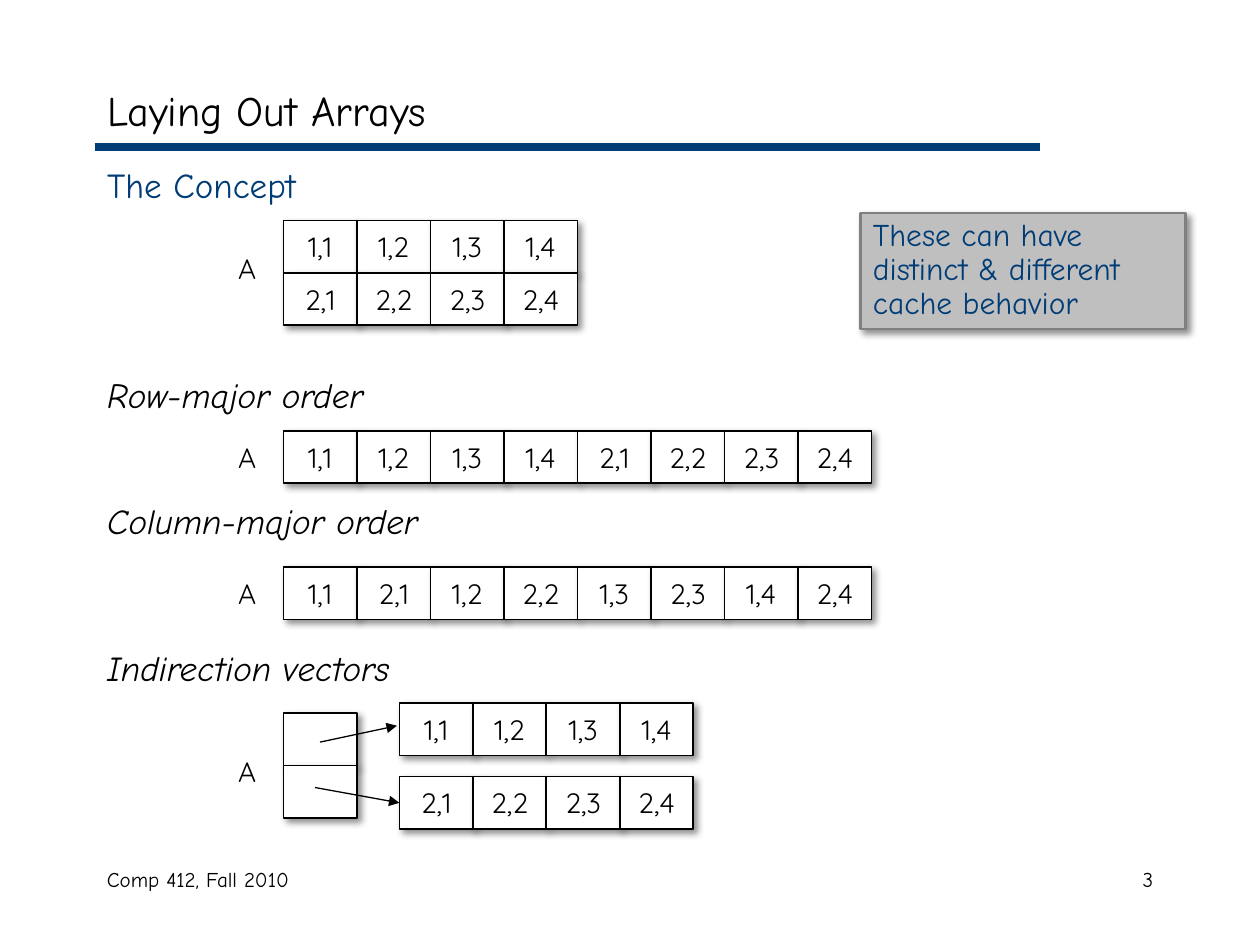
from lxml import etree
from pptx import Presentation
from pptx import util as u
from pptx.dml.color import RGBColor
from pptx.enum import shapes, text
from pptx.oxml import ns
from pptx.oxml import parse_xml

COLORS = {"ink": "000000", "navy": "003C75", "paper": "FFFFFF",
          "note": "BFBFBF", "note_edge": "808080"}
HAND, ROUND = "Comic Neue", "Quicksand"
CELL_W, CELL_H = u.Inches(7 / 12), u.Inches(5 / 12)
LABEL_X, ARRAY_X = u.Inches(1.67), u.Inches(2.25)
SHADOW = (
    '<a:effectLst %s><a:outerShdw blurRad="50800" dist="38100" dir="2700000" '
    'algn="tl" rotWithShape="0"><a:srgbClr val="%s"><a:alpha val="43000"/>'
    "</a:srgbClr></a:outerShdw></a:effectLst>" % (ns.nsdecls("a"), COLORS["ink"])
)
ROW_MAJOR = ["1,1", "1,2", "1,3", "1,4", "2,1", "2,2", "2,3", "2,4"]
COLUMN_MAJOR = ["1,1", "2,1", "1,2", "2,2", "1,3", "2,3", "1,4", "2,4"]
GRID = [ROW_MAJOR[:4], ROW_MAJOR[4:]]


def rgb(name):
    """Return the named palette colour."""
    return RGBColor.from_string(COLORS[name])


def apply(obj, **values):
    """Set every given attribute on an object."""
    for key, value in values.items():
        setattr(obj, key, value)


def write(p, words, color="ink", align=text.PP_ALIGN.LEFT, **font):
    """Write one formatted run into a paragraph."""
    p.alignment = align
    r = p.add_run()
    r.text = words
    apply(r.font, **font)
    r.font.color.rgb = rgb(color)


def center(sp, words):
    """Centre a cell label in a shape."""
    tf = sp.text_frame
    apply(tf, word_wrap=False, vertical_anchor=text.MSO_ANCHOR.MIDDLE)
    write(tf.paragraphs[0], words, align=text.PP_ALIGN.CENTER,
          name=ROUND, size=u.Pt(16))


def panel(parts, box, fill="paper", edge="ink", width=1):
    """Add a rectangle with a soft drop shadow."""
    sp = parts.add_shape(shapes.MSO_SHAPE.RECTANGLE, *box)
    sp.fill.solid()
    sp.fill.fore_color.rgb = rgb(fill)
    sp.line.color.rgb = rgb(edge)
    sp.line.width = u.Pt(width)
    sp._element.spPr.append(parse_xml(SHADOW))
    return sp


def line(parts, start, end, color="ink", width=0.75, arrow=False):
    """Add a straight line, with an arrowhead if asked."""
    c = parts.add_connector(shapes.MSO_CONNECTOR.STRAIGHT,
                            *map(u.Inches, start + end))
    c.line.color.rgb = rgb(color)
    c.line.width = u.Pt(width)
    if arrow:
        etree.SubElement(c.line._ln, ns.qn("a:tailEnd"), type="triangle")
    etree.SubElement(c._element.spPr, ns.qn("a:effectLst"))
    return c


def array(parts, left, top, rows, pitch=CELL_H):
    """Add rows of cells and return them as a grid."""
    grid = []
    for i, row in enumerate(rows):
        cells = []
        for j, words in enumerate(row):
            sp = panel(parts, (left + j * CELL_W, top + i * pitch, CELL_W, CELL_H))
            if words:
                center(sp, words)
            cells.append(sp)
        grid.append(cells)
    return grid


def labelled_array(s, top, rows, label_top):
    """Add a grouped array with its name on the left."""
    parts = s.shapes.add_group_shape().shapes
    array(parts, ARRAY_X, u.Inches(top), rows)
    center(parts.add_textbox(LABEL_X, u.Inches(label_top), CELL_W, CELL_H), "A")


def indirection(s, top):
    """Add the pointer vector, its rows and the arrows between them."""
    parts = s.shapes.add_group_shape().shapes
    rows = array(parts, u.Inches(3.17), u.Inches(top), GRID, u.Inches(7 / 12))
    center(parts.add_textbox(LABEL_X, u.Inches(top + 0.33), CELL_W, CELL_H), "A")
    array(parts, ARRAY_X, u.Inches(top + 0.08), [[""], [""]])
    line(parts, (2.54, top + 0.31), (3.15, top + 0.18), arrow=True)
    c = line(parts, (2.5, top + 0.67), (3.17, top + 0.8), arrow=True)
    c.end_connect(rows[1][0], 1)


def heading(s, box):
    """Place the title and the rule under it."""
    sp = s.shapes.title
    apply(sp, **box)
    tf = sp.text_frame
    tf.vertical_anchor = text.MSO_ANCHOR.MIDDLE
    write(tf.paragraphs[0], "Laying Out Arrays", name=HAND, size=u.Pt(24))
    line(s.shapes, (0.75, 1.17), (8.25, 1.17), "navy", 4.5)


def outline(s, box):
    """Place the section headings in the body placeholder."""
    sp = s.placeholders[1]
    apply(sp, **box)
    tf = sp.text_frame
    items = [("The Concept", 0, "navy", None), ("Row-major order", 96, "ink", True),
             ("Column-major order", 48, "ink", True),
             ("Indirection vectors", 60, "ink", True)]
    for i, (words, before, color, italic) in enumerate(items):
        p = tf.add_paragraph() if i else tf.paragraphs[0]
        p.space_before = u.Pt(before)
        pPr = p._p.get_or_add_pPr()
        pPr.set("marL", str(u.Inches(0.38)))
        pPr.set("indent", str(-u.Inches(0.38)))
        etree.SubElement(pPr, ns.qn("a:buNone"))
        write(p, words, color, name=HAND, size=u.Pt(20), italic=italic)


def note(s, box):
    """Add the shaded remark."""
    sp = panel(s.shapes, box, "note", "note_edge", 1.5)
    tf = sp.text_frame
    apply(tf, word_wrap=True, vertical_anchor=text.MSO_ANCHOR.TOP)
    p = tf.paragraphs[0]
    p.line_spacing = 0.9
    write(p, "These can have distinct & different cache behavior", "navy",
          name=HAND, size=u.Pt(18))


def footer(s, top):
    """Add the course name and the page number."""
    for left, width, words, align in (
            (0.75, 3.17, "Comp 412, Fall 2010", text.PP_ALIGN.LEFT),
            (7.17, 2.08, "3", text.PP_ALIGN.RIGHT)):
        sp = s.shapes.add_textbox(*map(u.Inches, (left, top, width, 0.5)))
        sp.text_frame.word_wrap = True
        write(sp.text_frame.paragraphs[0], words, align=align,
              name=HAND, size=u.Pt(12))


def main():
    """Build the slide and save it."""
    prs = Presentation()
    apply(prs, slide_width=u.Inches(10), slide_height=u.Inches(7.5))
    s = prs.slides.add_slide(prs.slide_layouts[1])
    across = {"left": u.Inches(0.75), "width": u.Inches(8.5)}
    heading(s, {**across, "top": u.Inches(0.58), "height": u.Inches(0.58)})
    outline(s, {**across, "top": u.Inches(1.25), "height": u.Inches(5.42)})
    footer(s, 6.83)
    labelled_array(s, 3.42, [ROW_MAJOR], 3.42)
    labelled_array(s, 4.5, [COLUMN_MAJOR], 4.5)
    labelled_array(s, 1.75, GRID, 1.92)
    indirection(s, 5.58)
    note(s, [u.Inches(v) for v in (6.83, 1.69, 2.58, 0.92)])
    prs.save("out.pptx")


if __name__ == "__main__":
    main()
